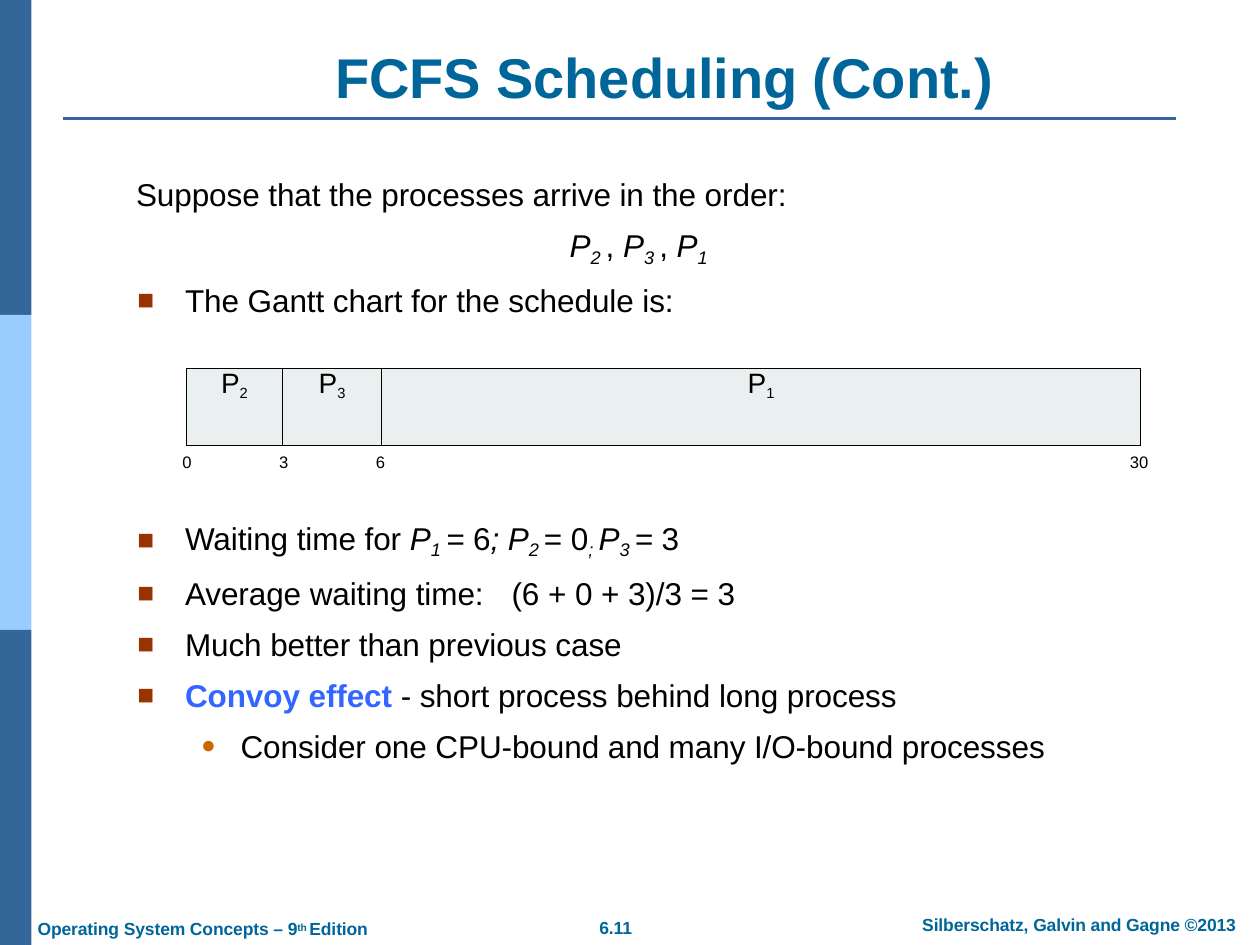
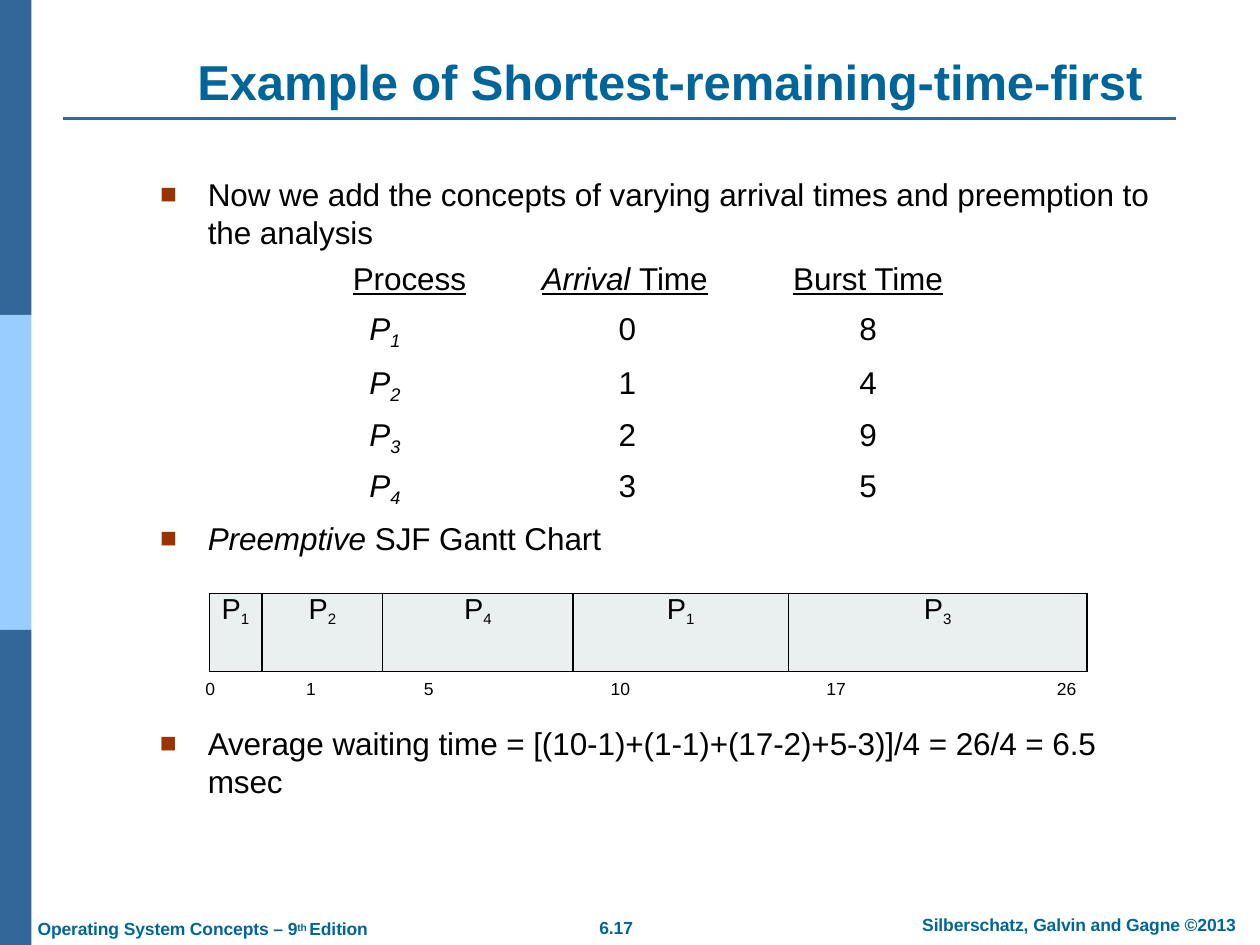
"""Build two slides on CPU scheduling, each with a Gantt chart."""
from itertools import accumulate

from lxml.etree import SubElement
from pptx import Presentation
from pptx.dml.color import RGBColor
from pptx.enum.shapes import MSO_CONNECTOR, MSO_SHAPE
from pptx.enum.text import PP_ALIGN
from pptx.oxml.ns import qn
from pptx.util import Pt

FONT = "Arial"
BLACK = RGBColor(0x00, 0x00, 0x00)
TEAL = RGBColor(0x00, 0x66, 0x99)
STEEL = RGBColor(0x33, 0x66, 0x99)
SKY = RGBColor(0x99, 0xCC, 0xFF)
TERM = RGBColor(0x33, 0x66, 0xFF)
RUST = RGBColor(0x99, 0x33, 0x00)
ORANGE = RGBColor(0xCC, 0x66, 0x00)
PALE = RGBColor(0xEA, 0xF0, 0xF0)

SQUARE = dict(bullet=("■", RUST, 89), left=28, hang=27.3)
DOT = dict(bullet=("●", ORANGE, 78), left=59.75, hang=22.5)
AFTER = dict(before=7.5)
FOOTER = dict(size=10, color=TEAL, bold=True, line=11.2)

EDITION = [("Operating System Concepts – 9", ""), ("th ", "^"), ("Edition", "")]
AUTHORS = "Silberschatz, Galvin and Gagne ©2013"

FCFS = dict(
    title=("FCFS Scheduling (Cont.)", 191.5, 24.5, 32),
    page="6.11",
    texts=[
        ((77.75, 100, 500), [
            ("Suppose that the processes arrive in the order:", {}),
            ([("P", "i"), ("2 ", "is"), (", ", ""), ("P", "i"), ("3 ", "is"),
              (", ", ""), ("P", "i"), ("1", "is")], AFTER | dict(left=247.7)),
            ("The Gantt chart for the schedule is:", SQUARE | AFTER),
        ]),
        ((77.75, 296.5, 560), [
            ([("Waiting time for ", ""), ("P", "i"), ("1 ", "is"), ("= ", "i"),
              ("6", ""), ("; P", "i"), ("2 ", "is"), ("= 0", ""), ("; ", "is"),
              ("P", "i"), ("3 ", "is"), ("= ", "i"), ("3", "")], SQUARE),
            ("Average waiting time:\t(6 + 0 + 3)/3 = 3",
             SQUARE | AFTER | dict(tab=214.6)),
            ("Much better than previous case", SQUARE | AFTER),
            ([("Convoy effect ", "k"),
              ("- short process behind long process", "")], SQUARE | AFTER),
            ("Consider one CPU-bound and many I/O-bound processes", DOT | AFTER),
        ]),
    ],
    gantt=dict(left=106.6, top=210.5, height=44, size=16,
               bars=[("2", 54.7), ("3", 56.9), ("1", 433.4)]),
    ticks=dict(top=258, size=9.5, marks=[
        ("0", 104.3), ("3", 159.5), ("6", 214.8), ("30", 645.7)]),
)

SRTF = dict(
    title=("Example of Shortest-remaining-time-first", 112.8, 29.5, 28),
    page="6.17",
    texts=[
        ((90.75, 100, 569.5), [
            ("Now we add the concepts of varying arrival times and preemption "
             "to the analysis", SQUARE)]),
        ((90.75, 296.5, 300), [
            ([("Preemptive ", "i"), ("SJF Gantt Chart", "")], SQUARE)]),
        ((90.75, 414, 540), [
            ("Average waiting time = [(10-1)+(1-1)+(17-2)+5-3)]/4 = 26/4 = 6.5 msec",
             SQUARE)]),
    ],
    gantt=dict(left=119.5, top=339.1, height=44.6, size=16.5,
               bars=[("1", 30.2), ("2", 69.1), ("4", 108.7), ("1", 123.1), ("3", 170.6)]),
    ticks=dict(top=387.3, size=10, marks=[
        ("0", 117.4), ("1", 175), ("5", 242.2), ("10", 349), ("17", 472.3), ("26", 604)]),
    processes=dict(
        left=200.2, top=149.5,
        widths=(87.8, 141.1, 112.3), heights=(28.8, 31, 29.5, 29.5, 30.2),
        headings=([("Process", "u")], [("Arrival ", "iu"), ("Time", "u")],
                  [("Burst Time", "u")]),
        rows=[("1", "0", "8"), ("2", "1", "4"), ("3", "2", "9"), ("4", "3", "5")]),
)


def write(paragraph, runs, *, size=18, sub_size=None, color=BLACK, bold=False,
          tracking=-5, align=PP_ALIGN.LEFT, before=0, line=None, left=0, hang=0,
          bullet=None, tab=None):
    """Fill a paragraph; style letters: i italic, u underline, s sub, ^ super, k key term."""
    paragraph.alignment = align
    paragraph.space_before = Pt(before)
    if line:
        paragraph.line_spacing = Pt(line)
    layout = paragraph._p.get_or_add_pPr()
    layout.set("marL", str(Pt(left)))
    layout.set("indent", str(-Pt(hang)))
    if bullet:
        symbol, tint, percent = bullet
        SubElement(SubElement(layout, qn("a:buClr")), qn("a:srgbClr"), val=str(tint))
        SubElement(layout, qn("a:buSzPct"), val=str(percent * 1000))
        SubElement(layout, qn("a:buFont"), typeface=FONT)
        SubElement(layout, qn("a:buChar"), char=symbol)
    else:
        SubElement(layout, qn("a:buNone"))
    if tab:
        stops = SubElement(layout, qn("a:tabLst"))
        SubElement(stops, qn("a:tab"), pos=str(Pt(tab)), algn="l")
    for words, style in [(runs, "")] if isinstance(runs, str) else runs:
        run = paragraph.add_run()
        run.text = words
        font = run.font
        font.name = FONT
        font.size = Pt(sub_size if sub_size and "s" in style else size)
        font.bold = bold or "k" in style
        font.italic = "i" in style
        font.underline = "u" in style
        font.color.rgb = TERM if "k" in style else color
        props = run._r.get_or_add_rPr()
        props.set("spc", str(tracking))
        if "s" in style:
            props.set("baseline", "-21000")
        elif "^" in style:
            props.set("baseline", "26000")


def add_text(slide, left, top, width, paragraphs):
    frame = slide.shapes.add_textbox(Pt(left), Pt(top), Pt(width), Pt(20)).text_frame
    frame.word_wrap = True
    frame.margin_left = frame.margin_right = frame.margin_top = frame.margin_bottom = 0
    for number, (runs, style) in enumerate(paragraphs):
        paragraph = frame.add_paragraph() if number else frame.paragraphs[0]
        write(paragraph, runs, **style)


def add_grid(slide, left, top, widths, heights):
    grid = slide.shapes.add_table(len(heights), len(widths), Pt(left), Pt(top),
                                  Pt(sum(widths)), Pt(sum(heights))).table
    grid.first_row = grid.horz_banding = False
    for column, width in zip(grid.columns, widths):
        column.width = Pt(width)
    for row, height in zip(grid.rows, heights):
        row.height = Pt(height)
    for cell in grid.iter_cells():
        cell.margin_left = cell.margin_right = cell.margin_top = cell.margin_bottom = 0
        cell.fill.background()
    return grid


def add_gantt(slide, left, top, height, size, bars):
    grid = add_grid(slide, left, top, [width for _, width in bars], [height])
    for cell, (process, _) in zip(grid.iter_cells(), bars):
        props = cell._tc.get_or_add_tcPr()
        for place, side in enumerate(("a:lnL", "a:lnR", "a:lnT", "a:lnB")):
            border = props.makeelement(qn(side), {"w": str(Pt(0.8))})
            props.insert(place, border)
            SubElement(SubElement(border, qn("a:solidFill")), qn("a:srgbClr"), val=str(BLACK))
        cell.fill.solid()
        cell.fill.fore_color.rgb = PALE
        write(cell.text_frame.paragraphs[0], [("P", ""), (process, "s")], size=size,
              sub_size=size * 0.9, tracking=-80, align=PP_ALIGN.CENTER)


def add_processes(slide, left, top, widths, heights, headings, rows):
    grid = add_grid(slide, left, top, widths, heights)
    formats = (dict(left=10.8), dict(align=PP_ALIGN.CENTER),
               dict(align=PP_ALIGN.CENTER, left=21.6))
    heading_formats = (dict(left=1.4), dict(left=21.6), formats[2])
    named = [([("P", "i"), (process, "is")], arrival, burst)
             for process, arrival, burst in rows]
    for r, row in enumerate([headings, *named]):
        for c, runs in enumerate(row):
            style = (formats if r else heading_formats)[c]
            write(grid.cell(r, c).text_frame.paragraphs[0], runs, **style)


def add_frame(slide, title, page):
    heights = (180, 180, 180)
    tops = accumulate(heights, initial=0)
    for top, height, color in zip(tops, heights, (STEEL, SKY, STEEL)):
        band = slide.shapes.add_shape(MSO_SHAPE.RECTANGLE, 0, Pt(top), Pt(18), Pt(height))
        band.shadow.inherit = False
        band.fill.solid()
        band.fill.fore_color.rgb = color
        band.line.fill.background()
    rule = slide.shapes.add_connector(MSO_CONNECTOR.STRAIGHT, Pt(36), Pt(67.7), Pt(672), Pt(67.7))
    rule.line.color.rgb = STEEL
    rule.line.width = Pt(1.5)
    SubElement(rule._element.spPr, qn("a:effectLst"))
    words, left, top, size = title
    add_text(slide, left, top, 580 - left / 4,
             [(words, dict(size=size, color=TEAL, bold=True))])
    for runs, left, top, width in ((EDITION, 21.5, 525.5, 215), (page, 342.5, 525, 40),
                                   (AUTHORS, 527, 523, 190)):
        add_text(slide, left, top, width, [(runs, FOOTER)])


def main():
    deck = Presentation()
    deck.slide_width, deck.slide_height = Pt(720), Pt(540)
    for content in (FCFS, SRTF):
        slide = deck.slides.add_slide(deck.slide_layouts[6])
        add_frame(slide, content["title"], content["page"])
        for place, paragraphs in content["texts"]:
            add_text(slide, *place, paragraphs)
        add_gantt(slide, **content["gantt"])
        ticks = content["ticks"]
        for mark, left in ticks["marks"]:
            add_text(slide, left, ticks["top"], 20, [(mark, dict(size=ticks["size"]))])
        if "processes" in content:
            add_processes(slide, **content["processes"])
    deck.save("out.pptx")


if __name__ == "__main__":
    main()
